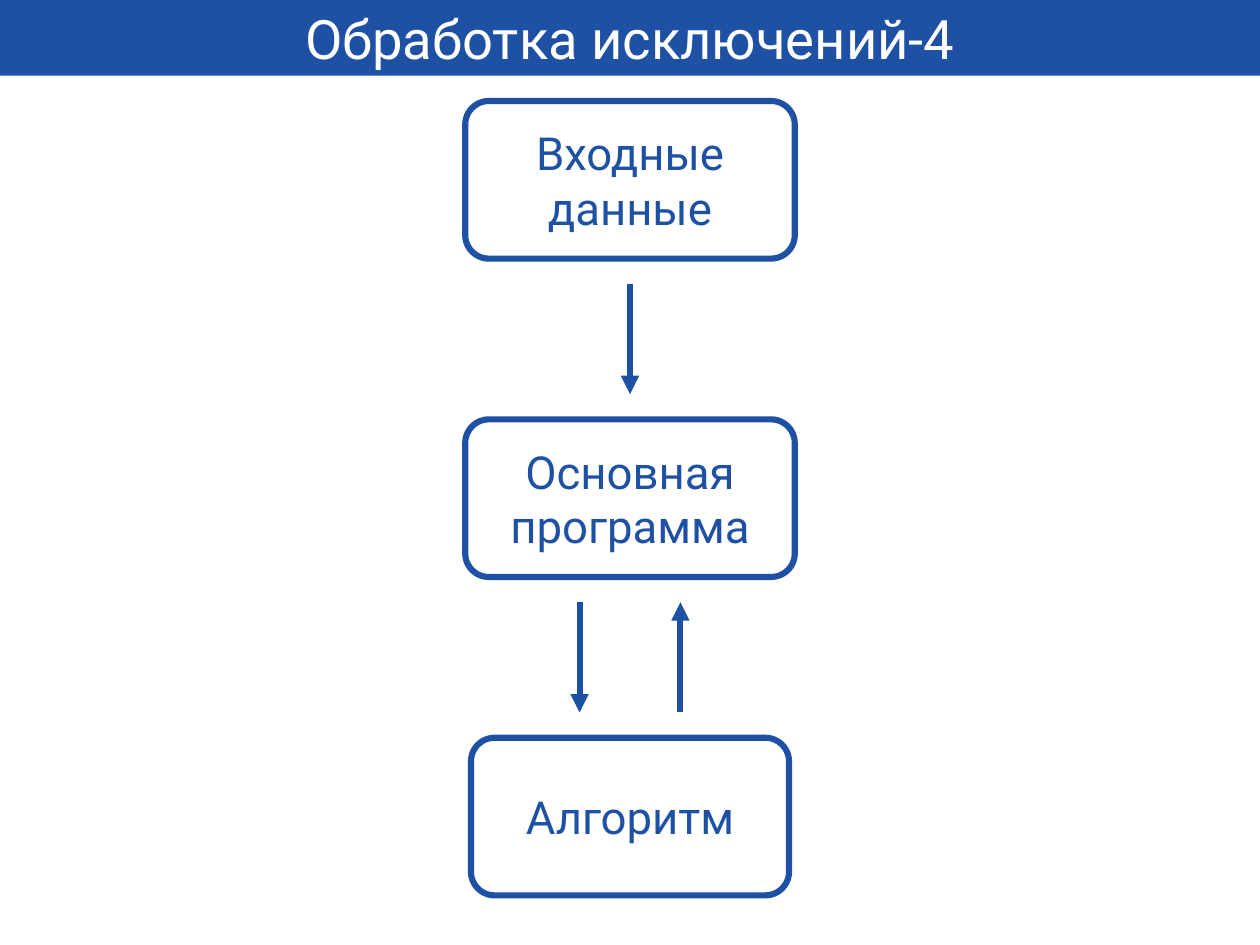
from lxml.etree import SubElement
from pptx import Presentation
from pptx.dml.color import RGBColor
from pptx.enum.shapes import MSO_CONNECTOR, MSO_SHAPE
from pptx.enum.text import MSO_ANCHOR, MSO_AUTO_SIZE, PP_ALIGN
from pptx.oxml.ns import qn
from pptx.util import Inches, Pt

COLORS = {"blue": "1E51A4", "white": "FFFFFF"}
FONT = "Roboto"

# Slide and flowchart grid, in inches
SLIDE_W, SLIDE_H = 14.22, 10.67
CENTER = SLIDE_W / 2
FIRST_TOP, ROW_PITCH, STEP_H = 1.14, 3.595, 1.78
ARROW_GAP = 0.285
ARROW_SHIFT = SLIDE_W * 0.04
STROKE = Pt(5)
INSET = Inches(0.06)


def color(name):
    return RGBColor.from_string(COLORS[name])


def row_top(row):
    return FIRST_TOP + row * ROW_PITCH


def set_text(shape, text, size, color_name, anchor):
    frame = shape.text_frame
    frame.word_wrap = True
    frame.auto_size = MSO_AUTO_SIZE.NONE
    frame.vertical_anchor = anchor
    frame.margin_left = frame.margin_right = INSET
    frame.margin_top = frame.margin_bottom = INSET
    paragraph = frame.paragraphs[0]
    paragraph.alignment = PP_ALIGN.CENTER
    run = paragraph.add_run()
    run.text = text
    run.font.name = FONT
    run.font.size = Pt(size)
    run.font.color.rgb = color(color_name)


def add_title(slide, text):
    title = slide.shapes.title
    title.left = title.top = 0
    title.width, title.height = Inches(SLIDE_W), Inches(SLIDE_H * 0.08)
    title.fill.solid()
    title.fill.fore_color.rgb = color("blue")
    set_text(title, text, 44.2, "white", MSO_ANCHOR.BOTTOM)


def add_step(slide, row, text, width):
    step = slide.shapes.add_shape(
        MSO_SHAPE.ROUNDED_RECTANGLE,
        Inches(CENTER - width / 2), Inches(row_top(row)),
        Inches(width), Inches(STEP_H))
    step.adjustments[0] = 0.15
    step.shadow.inherit = False
    step.fill.solid()
    step.fill.fore_color.rgb = color("white")
    step.line.color.rgb = color("blue")
    step.line.width = STROKE
    set_text(step, text, 37, "blue", MSO_ANCHOR.MIDDLE)


def add_arrow(slide, row, shift=0, upward=False):
    """Draw an arrow in the gap below the given row."""
    x = Inches(CENTER + shift)
    start = Inches(row_top(row) + STEP_H + ARROW_GAP)
    end = Inches(row_top(row + 1) - ARROW_GAP)
    if upward:
        start, end = end, start
    arrow = slide.shapes.add_connector(MSO_CONNECTOR.STRAIGHT, x, start, x, end)
    arrow.line.color.rgb = color("blue")
    arrow.line.width = STROKE
    SubElement(arrow.line._get_or_add_ln(), qn("a:tailEnd"), type="triangle")
    SubElement(arrow._element.spPr, qn("a:effectLst"))


def main():
    deck = Presentation()
    deck.slide_width, deck.slide_height = Inches(SLIDE_W), Inches(SLIDE_H)
    slide = deck.slides.add_slide(deck.slide_layouts[5])

    # Header band
    add_title(slide, "Обработка исключений-4")

    # Steps from top to bottom
    steps = [("Входные данные", 3.72), ("Основная программа", 3.72), ("Алгоритм", 3.59)]
    for row, (text, width) in enumerate(steps):
        add_step(slide, row, text, width)

    # Input flow, then the call and its return
    add_arrow(slide, 0)
    add_arrow(slide, 1, -ARROW_SHIFT)
    add_arrow(slide, 1, ARROW_SHIFT, upward=True)

    deck.save("out.pptx")


if __name__ == "__main__":
    main()
